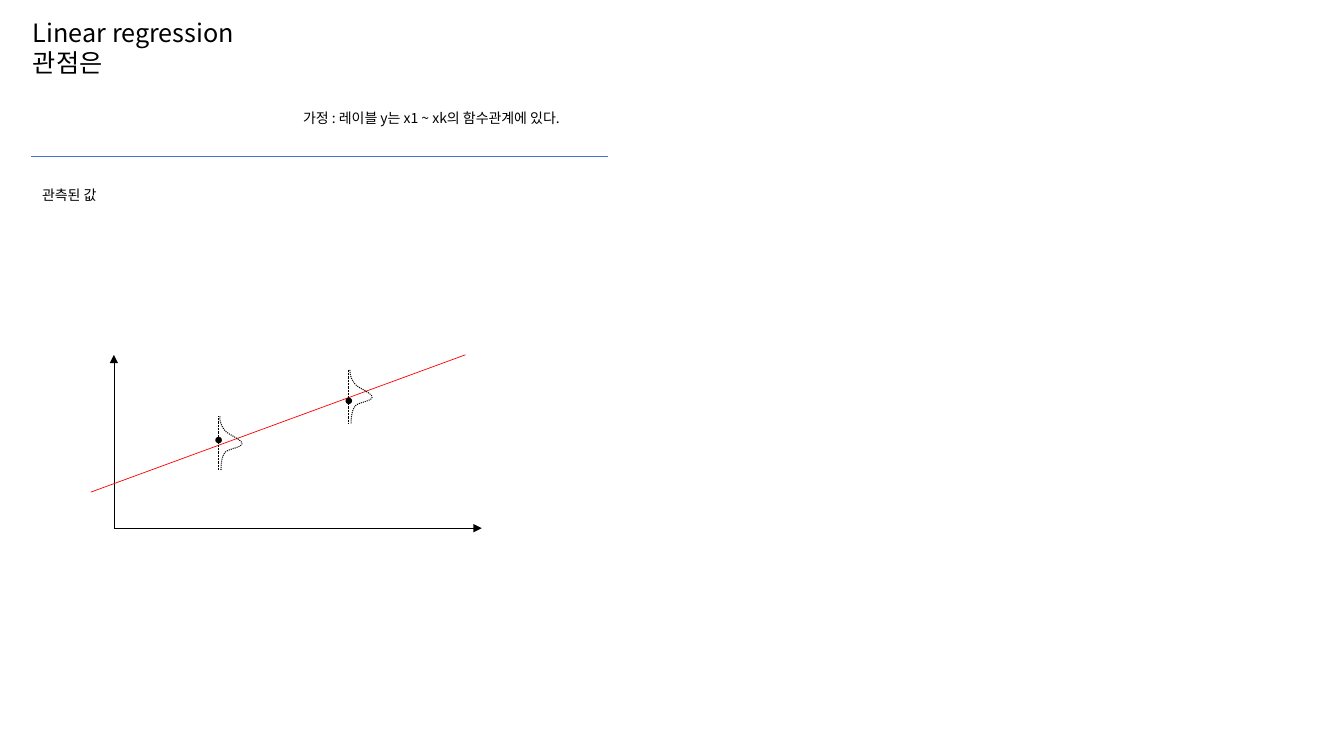
from lxml import etree
from pptx import Presentation
from pptx.dml.color import RGBColor
from pptx.enum.dml import MSO_LINE
from pptx.enum.shapes import MSO_CONNECTOR, MSO_SHAPE
from pptx.enum.text import MSO_ANCHOR, PP_ALIGN
from pptx.oxml.ns import qn
from pptx.util import Cm, Pt

BLACK = RGBColor(0x00, 0x00, 0x00)
BLUE = RGBColor(0x44, 0x72, 0xC4)
RED = RGBColor(0xFF, 0x00, 0x00)
FONT = "Noto Sans CJK KR"

STRAIGHT = MSO_CONNECTOR.STRAIGHT
OVAL = MSO_SHAPE.OVAL
DOTTED = MSO_LINE.ROUND_DOT
LEFT = PP_ALIGN.LEFT
TOP = MSO_ANCHOR.TOP

TITLE_ONLY = 5
DOT_SIZE = 0.13
BELL_HEIGHT = 1.35
# Bezier segments (two controls and an end), in cm from the top of the bell
BELL_SEGMENTS = [
    ((0, 0.13), (0.03, 0.23), (0.13, 0.36)),
    ((0.2, 0.46), (0.56, 0.58), (0.56, 0.69)),
    ((0.56, 0.79), (0.23, 0.81), (0.13, 0.91)),
    ((0.05, 1.02), (0.03, 1.19), (0.03, BELL_HEIGHT)),
]
# Axis x, top of the axis, and depth of the observed value below that top
OBSERVATIONS = [(8.79, 9.32, 0.78), (5.51, 10.49, 0.6)]


def write_text(tf, text, size=10, color=BLACK, font=FONT, align=LEFT):
    tf.word_wrap = True
    tf.vertical_anchor = TOP
    tf.margin_left = Cm(0.25)
    tf.margin_right = 0
    tf.margin_top = tf.margin_bottom = Cm(0.13)
    p = tf.paragraphs[0]
    p.text = text
    p.alignment = align
    p.line_spacing = Pt(size * 1.2)
    for r in p.runs:
        r.font.size = Pt(size)
        r.font.name = font
        r.font.color.rgb = color
        ea = etree.Element(qn("a:ea"), typeface=font)
        r.font._element.find(qn("a:latin")).addnext(ea)


def bezier(start, c1, c2, end, steps=8):
    """Return points along a cubic curve, without its start."""
    points = []
    for i in range(1, steps + 1):
        t = i / steps
        u = 1 - t
        points.append(tuple(
            u**3 * a + 3 * u * u * t * b + 3 * u * t * t * c + t**3 * d
            for a, b, c, d in zip(start, c1, c2, end)))
    return points


class Page:
    """Holds the slide and draws its elements, with lengths in cm."""

    def __init__(self, slide):
        self.slide = slide
        self.shapes = slide.shapes

    def title(self, text, x, y, w, h, **style):
        sp = self.shapes.title
        sp.left, sp.top, sp.width, sp.height = Cm(x), Cm(y), Cm(w), Cm(h)
        write_text(sp.text_frame, text, **style)

    def label(self, text, x, y, w, h, **style):
        sp = self.shapes.add_textbox(Cm(x), Cm(y), Cm(w), Cm(h))
        write_text(sp.text_frame, text, **style)

    def line(self, start, end, color=BLACK, dash=None, arrow=False):
        sp = self.shapes.add_connector(
            STRAIGHT, *(Cm(v) for v in (*start, *end)))
        sp.line.color.rgb = color
        sp.line.width = Pt(0.5)
        if dash:
            sp.line.dash_style = dash
        if arrow:
            etree.SubElement(sp.line._get_or_add_ln(), qn("a:tailEnd"),
                             type="triangle")
        etree.SubElement(sp._element.spPr, qn("a:effectLst"))

    def bell(self, x, y):
        points = [(0, 0)]
        for segment in BELL_SEGMENTS:
            points += bezier(points[-1], *segment)
        points = [(Cm(x + dx), Cm(y + dy)) for dx, dy in points]
        builder = self.shapes.build_freeform(*points[0])
        builder.add_line_segments(points[1:], close=False)
        sp = builder.convert_to_shape()
        sp.shadow.inherit = False
        sp.fill.background()
        sp.line.color.rgb = BLACK
        sp.line.width = Pt(0.75)
        sp.line.dash_style = DOTTED

    def dot(self, x, y):
        """Draw a dot centred at x, y."""
        sp = self.shapes.add_shape(
            OVAL, Cm(x - DOT_SIZE / 2), Cm(y - DOT_SIZE / 2),
            Cm(DOT_SIZE), Cm(DOT_SIZE))
        sp.shadow.inherit = False
        sp.fill.solid()
        sp.fill.fore_color.rgb = BLACK
        sp.line.color.rgb = BLACK
        sp.line.width = Pt(1)


def main():
    prs = Presentation()
    prs.slide_width, prs.slide_height = Cm(33.87), Cm(19.05)
    page = Page(prs.slides.add_slide(prs.slide_layouts[TITLE_ONLY]))

    page.title("Linear regression\v관점은", 0.58, 0.3, 7.59, 1.02, size=18)
    page.label("가정 : 레이블 y는 x1 ~ xk의 함수관계에 있다.",
               7.39, 2.62, 7.75, 0.69)
    page.line((0.79, 3.94), (15.32, 3.94), color=BLUE)
    page.label("관측된 값", 0.81, 4.57, 2.06, 0.69)

    origin = (2.87, 13.31)
    page.line(origin, (2.87, 8.94), arrow=True)
    page.line(origin, (12.14, 13.31), arrow=True)
    page.line((2.29, 12.4), (11.73, 8.94), color=RED)

    for x, top, _ in OBSERVATIONS:
        page.line((x, top), (x, top + BELL_HEIGHT), dash=DOTTED)
        page.bell(x + 0.03, top)
    for x, top, depth in OBSERVATIONS:
        page.dot(x, top + depth)

    prs.save("out.pptx")


if __name__ == "__main__":
    main()
